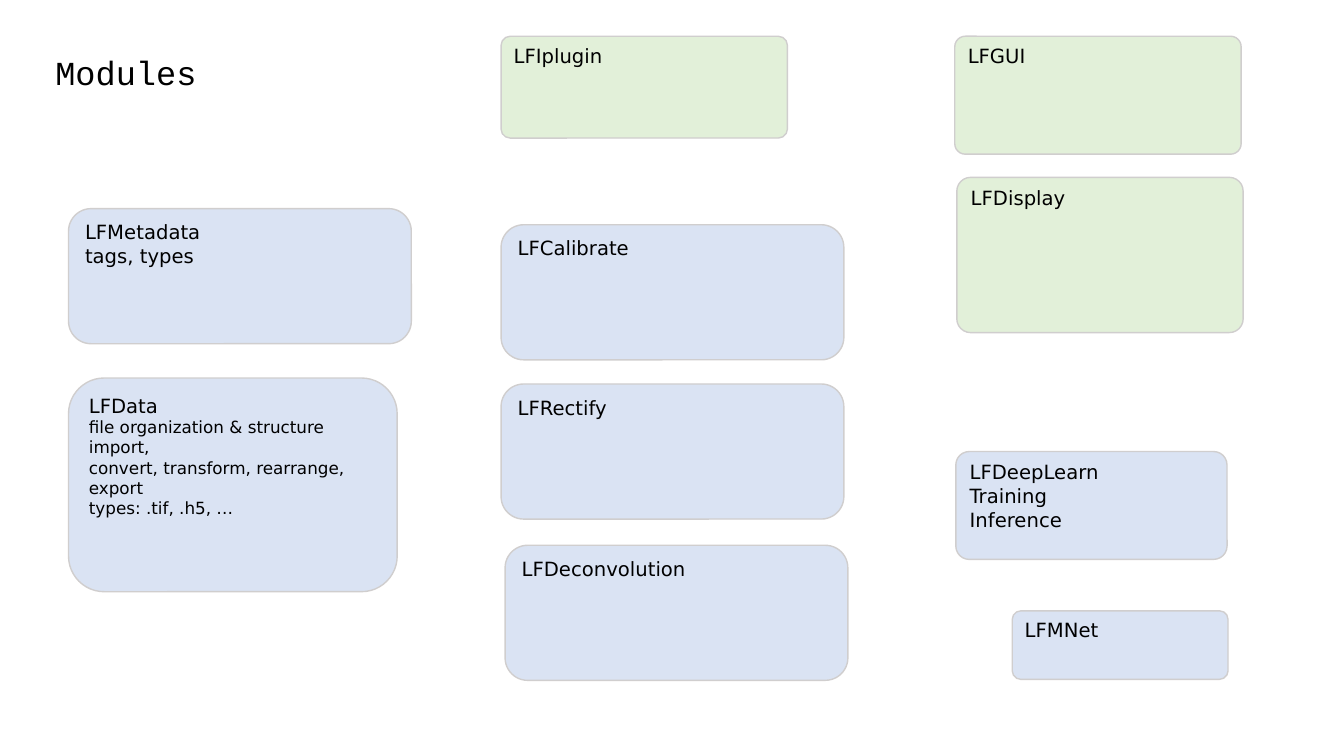
import pptx
import pptx.dml.color
import pptx.enum.shapes
import pptx.enum.text
import pptx.util
from pptx.util import Inches

COLOURS = {"ink": "000000", "edge": "D0CECE", "core": "DAE3F3", "interface": "E2F0D9"}
ROUND, MEDIUM, SLIGHT = 0.167, 0.124, 0.089
HEADING_SIZE, DETAIL_SIZE = 14, 12

# box (left, top, width, height), corner, kind, size of the later lines, lines
MODULES = [
    ((9.48, 4.48, 2.69, 1.07), MEDIUM, "core", HEADING_SIZE,
     ["LFDeepLearn", "Training", "Inference"]),
    ((0.68, 2.07, 3.4, 1.34), ROUND, "core", HEADING_SIZE, ["LFMetadata", "tags, types"]),
    ((4.97, 2.23, 3.4, 1.34), ROUND, "core", HEADING_SIZE, ["LFCalibrate"]),
    ((4.97, 3.81, 3.4, 1.34), ROUND, "core", HEADING_SIZE, ["LFRectify"]),
    ((5.01, 5.41, 3.4, 1.34), ROUND, "core", HEADING_SIZE, ["LFDeconvolution"]),
    ((9.49, 1.76, 2.84, 1.54), SLIGHT, "interface", HEADING_SIZE, ["LFDisplay"]),
    ((9.47, 0.36, 2.84, 1.17), SLIGHT, "interface", HEADING_SIZE, ["LFGUI"]),
    ((0.68, 3.75, 3.26, 2.12), ROUND, "core", DETAIL_SIZE,
     ["LFData", "file organization & structure", "import,",
      "convert, transform, rearrange,", "export", "types: .tif, .h5, …"]),
    ((10.04, 6.06, 2.14, 0.68), MEDIUM, "core", HEADING_SIZE, ["LFMNet"]),
    ((4.97, 0.36, 2.84, 1.01), SLIGHT, "interface", HEADING_SIZE, ["LFIplugin"]),
]


def colour(name):
    return pptx.dml.color.RGBColor.from_string(COLOURS[name])


def write_line(para, text, font_name, size):
    para.alignment = pptx.enum.text.PP_ALIGN.LEFT
    span = para.add_run()
    span.text = text
    for key, value in {"name": font_name, "size": pptx.util.Pt(size)}.items():
        setattr(span.font, key, value)
    span.font.color.rgb = colour("ink")


def set_frame(frame, anchor):
    for key, value in {"word_wrap": True, "vertical_anchor": anchor}.items():
        setattr(frame, key, value)


def add_title(page, box, text):
    frame = page.shapes.add_textbox(*map(Inches, box)).text_frame
    set_frame(frame, pptx.enum.text.MSO_ANCHOR.MIDDLE)
    para = frame.paragraphs[0]
    para.line_spacing = 0.9
    write_line(para, text, "Courier New", 24)


def add_module(page, box, corner, kind, detail_size, lines):
    """Draw a rounded card with a heading line and optional detail lines."""
    card = page.shapes.add_shape(
        pptx.enum.shapes.MSO_SHAPE.ROUNDED_RECTANGLE, *map(Inches, box))
    card.adjustments[0] = corner
    card.shadow.inherit = False
    card.fill.solid()
    card.fill.fore_color.rgb = colour(kind)
    card.line.color.rgb = colour("edge")
    card.line.width = pptx.util.Pt(1)
    frame = card.text_frame
    set_frame(frame, pptx.enum.text.MSO_ANCHOR.TOP)
    for index, text in enumerate(lines):
        para = frame.add_paragraph() if index else frame.paragraphs[0]
        write_line(para, text, "DejaVu Sans", detail_size if index else HEADING_SIZE)


def main():
    deck = pptx.Presentation()
    deck.slide_width, deck.slide_height = Inches(13.33), Inches(7.5)
    page = deck.slides.add_slide(deck.slide_layouts[6])
    add_title(page, (0.45, 0.36, 5.75, 0.76), "Modules")
    for module in MODULES:
        add_module(page, *module)
    deck.save("out.pptx")


if __name__ == "__main__":
    main()
